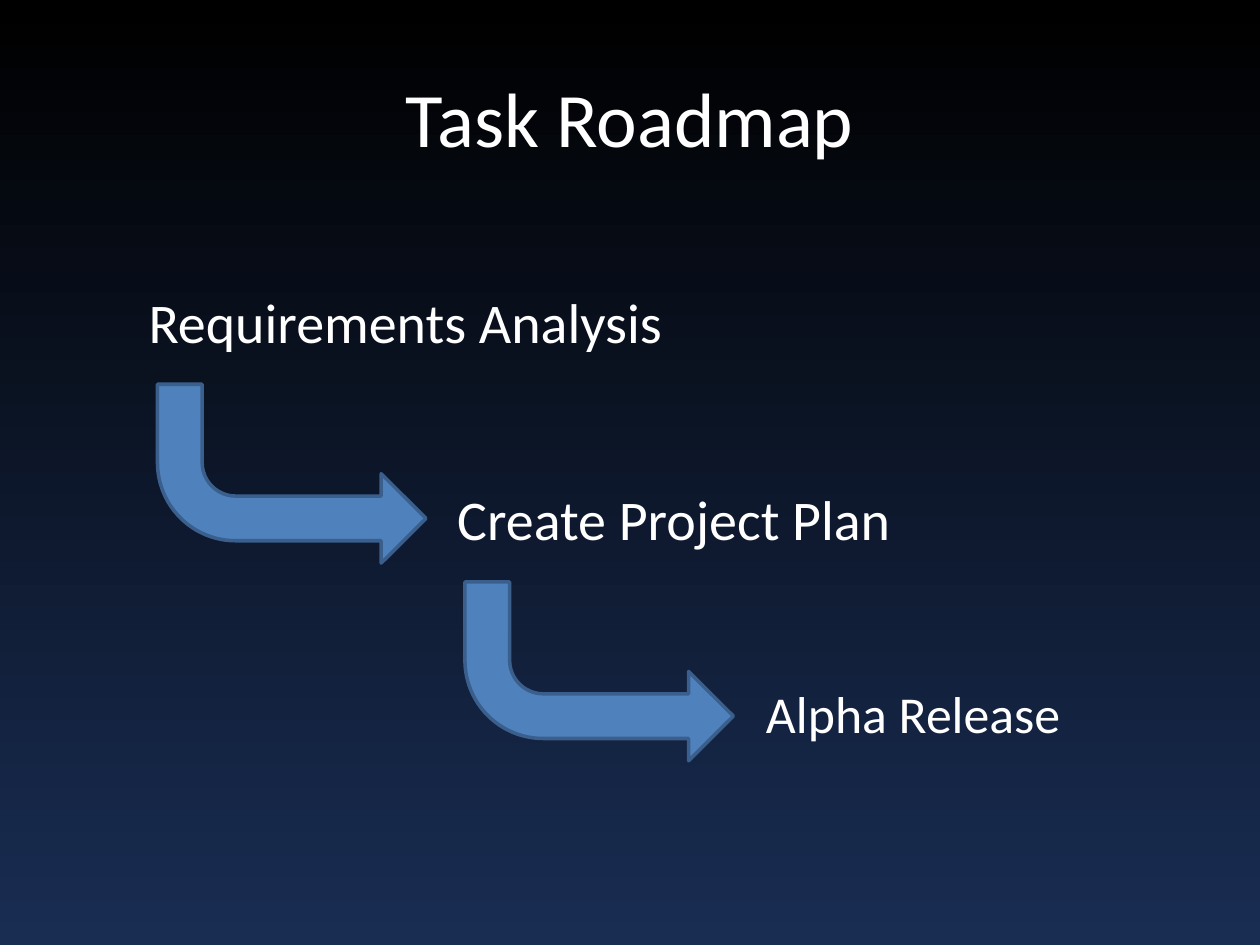
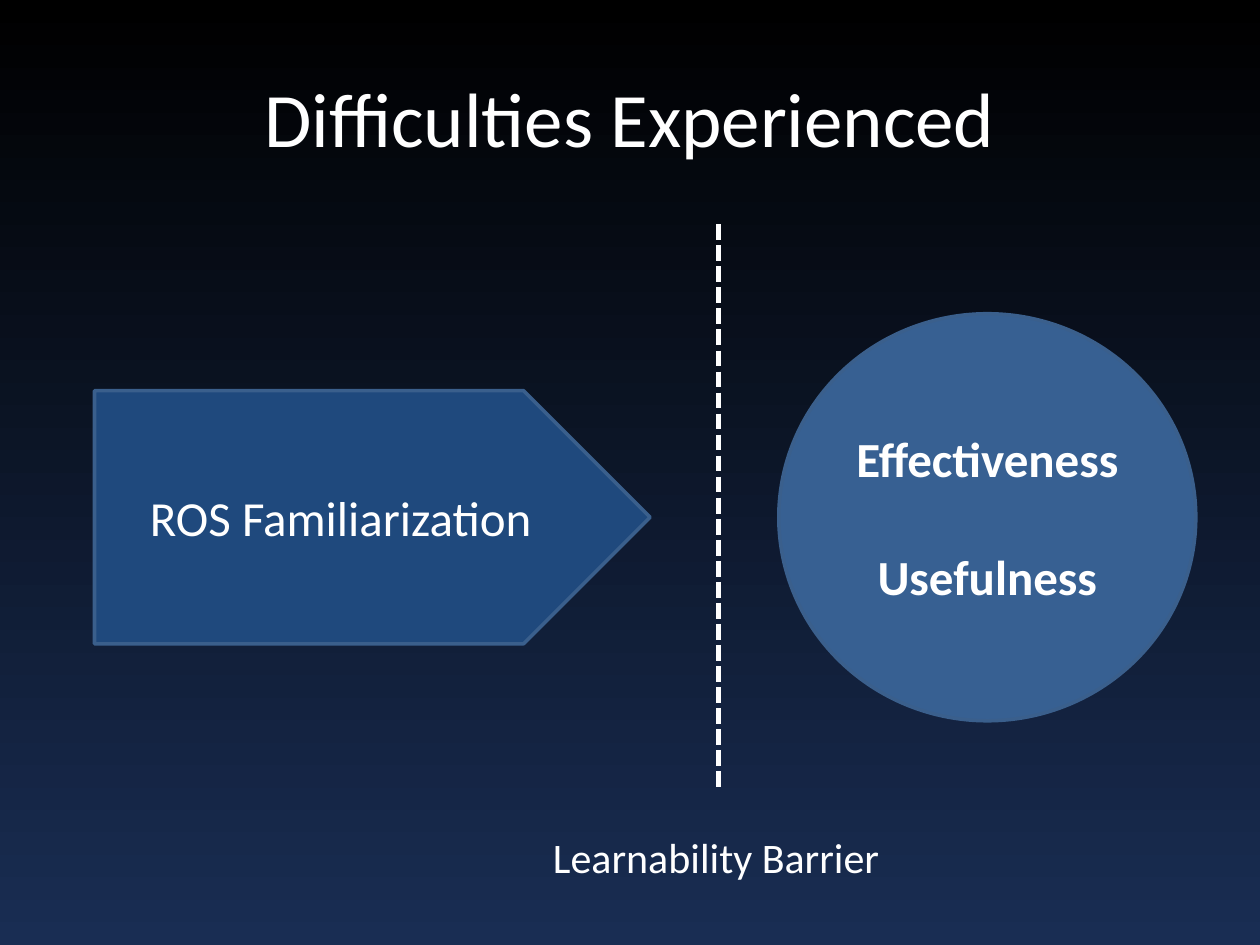
import pptx
import pptx.util
import pptx.dml.color
import pptx.enum.dml
import pptx.enum.shapes
import pptx.enum.text
import lxml.etree

Pt = pptx.util.Pt
MSO = pptx.enum.shapes.MSO_SHAPE
ALIGN = pptx.enum.text.PP_ALIGN
ANCHOR = pptx.enum.text.MSO_ANCHOR

# Shared colours and sizes
FONT = "Calibri"
WHITE, OUTLINE = "FFFFFF", "3A5F8C"
GRADIENT = ("000000", "192D53")
TITLES = ("Task Roadmap", "Difficulties Experienced")


def rgb(value):
    return pptx.dml.color.RGBColor.from_string(value)


def add_item(s, box, lines=(), size=32, kind=None, fill=None, bold=False, gap=0):
    """Add a text box, or an outlined preset shape with centred text."""
    box = [Pt(v) for v in box]
    if kind is None:
        sp = s.shapes.add_textbox(*box)
    else:
        sp = s.shapes.add_shape(kind, *box)
        sp.shadow.inherit = False
        sp.fill.solid()
        sp.fill.fore_color.rgb = rgb(fill)
        sp.line.color.rgb = rgb(OUTLINE)
        sp.line.width = Pt(2)
    tf = sp.text_frame
    tf.word_wrap = True
    tf.vertical_anchor = ANCHOR.TOP if kind is None else ANCHOR.MIDDLE
    for i, line in enumerate(lines):
        p = tf.add_paragraph() if i else tf.paragraphs[0]
        p.alignment = ALIGN.LEFT if kind is None else ALIGN.CENTER
        if i:
            p.space_before = Pt(gap)
        r = p.add_run()
        r.text = line
        r.font.name = FONT
        r.font.size = Pt(size)
        r.font.bold = bold
        r.font.color.rgb = rgb(WHITE)
    return sp


prs = pptx.Presentation()
prs.slide_width, prs.slide_height = Pt(720), Pt(540)

# Background and title on every slide
slides = []
for title in TITLES:
    s = prs.slides.add_slide(prs.slide_layouts[6])
    bg = s.background.fill
    bg.gradient()
    bg.gradient_angle = 270
    for stop, value in zip(bg.gradient_stops, GRADIENT):
        stop.color.rgb = rgb(value)
    sp = add_item(s, (36, 21.6, 648, 90), [title], 44)
    sp.text_frame.vertical_anchor = ANCHOR.MIDDLE
    sp.text_frame.paragraphs[0].alignment = ALIGN.CENTER
    slides.append(s)
roadmap, difficulties = slides

# Roadmap: steps going down to the right
steps = [
    ("Requirements Analysis", 77.8, 160.6, 312.5, 32),
    ("Create Project Plan", 254.2, 273.6, 278.6, 32),
    ("Alpha Release", 430.6, 385.9, 193, 29.6),
]
for text, x, y, w, size in steps:
    add_item(roadmap, (x, y, w, 45.4), [text], size)

# Bent arrows between the steps
for i in range(len(steps) - 1):
    sp = add_item(roadmap, (90 + 175.7 * i, 219.6 + 113 * i, 153.4, 102.2),
                  kind=MSO.BENT_ARROW, fill="4F81BD")
    sp.element.spPr.xfrm.set("flipV", "1")

# Difficulties: goals, barrier and the way towards them
add_item(difficulties, (445, 179.3, 238.3, 232.6), ["Effectiveness", "Usefulness"],
         28, MSO.OVAL, "376092", bold=True, gap=34)

barrier = difficulties.shapes.add_connector(
    pptx.enum.shapes.MSO_CONNECTOR.STRAIGHT, Pt(410.4), Pt(128.2), Pt(410.4), Pt(451.4))
barrier.line.color.rgb = rgb(WHITE)
barrier.line.width = Pt(3)
barrier.line.dash_style = pptx.enum.dml.MSO_LINE.SQUARE_DOT
lxml.etree.SubElement(barrier.element.spPr, pptx.oxml.ns.qn("a:effectLst"))

label = add_item(difficulties, (308.9, 471.6, 203, 36), ["Learnability Barrier"], 24)
label.text_frame.word_wrap = False

add_item(difficulties, (54, 223.2, 317.5, 144.7), ["ROS Familiarization"],
         28, MSO.PENTAGON, "1F497D")

prs.save("out.pptx")
